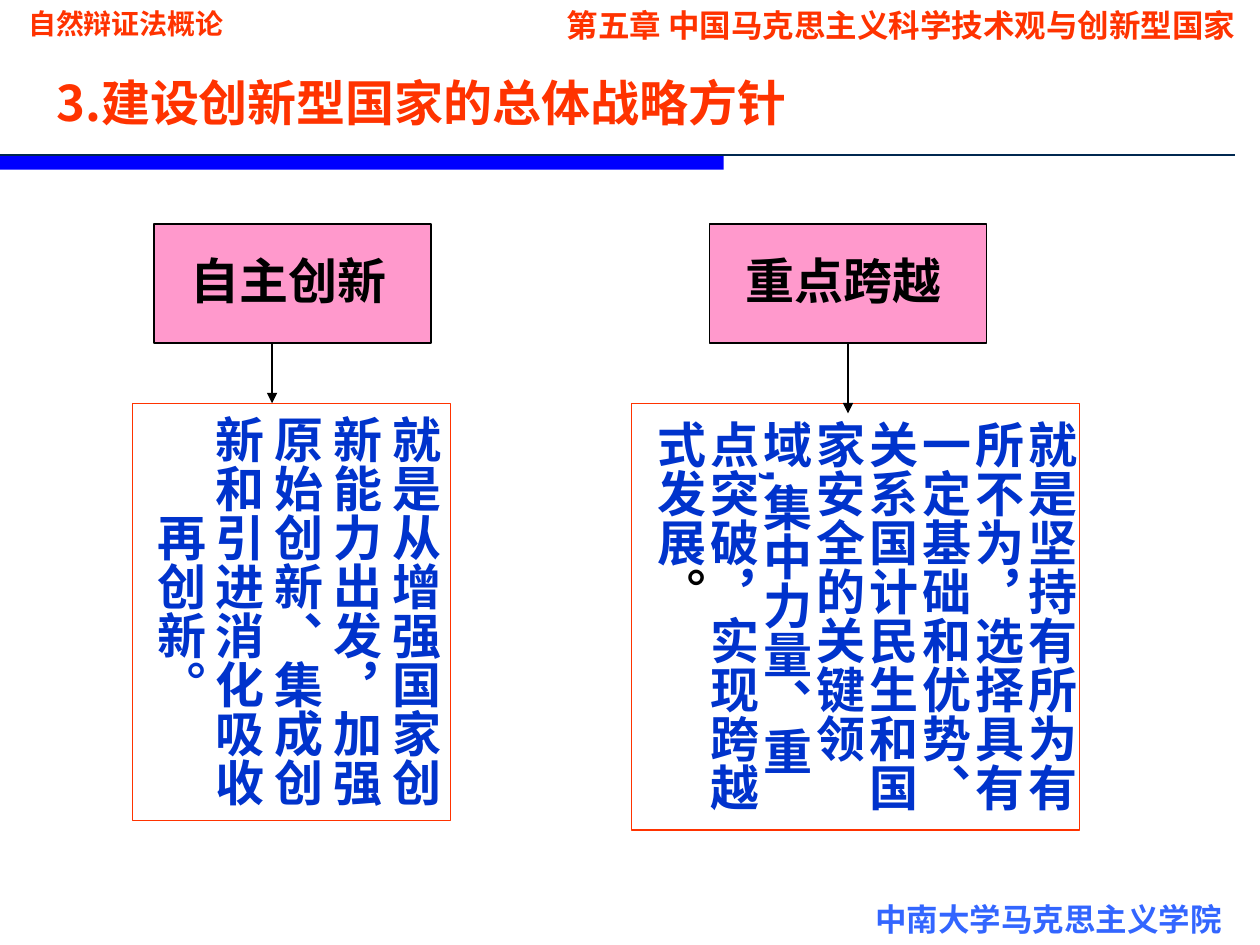
from lxml.etree import SubElement
from pptx import Presentation
from pptx.dml.color import RGBColor
from pptx.enum.shapes import MSO_CONNECTOR, MSO_SHAPE
from pptx.enum.text import MSO_ANCHOR, PP_ALIGN
from pptx.oxml.ns import qn
from pptx.util import Pt

COLORS = {
    "red": "FF3300", "footer": "3366FF", "bar": "0000FF", "rule": "002850",
    "pink": "FF99CC", "body": "0033CC", "black": "000000",
}


def rgb(name):
    return RGBColor.from_string(COLORS[name])


def set_text(tf, text, size, color, font="Arial", align=PP_ALIGN.LEFT):
    tf.word_wrap = True
    tf.text = text
    p = tf.paragraphs[0]
    p.alignment = align
    p.font.name = font
    p.font.size = Pt(size)
    p.font.bold = True
    p.font.color.rgb = rgb(color)
    return p


def add_label(s, box, text, size, color, align=PP_ALIGN.LEFT):
    sp = s.shapes.add_textbox(*map(Pt, box))
    set_text(sp.text_frame, text, size, color, align=align)


def add_rect(s, box, fill=None, line=None):
    sp = s.shapes.add_shape(MSO_SHAPE.RECTANGLE, *map(Pt, box))
    sp.shadow.inherit = False
    if fill:
        sp.fill.solid()
        sp.fill.fore_color.rgb = rgb(fill)
    else:
        sp.fill.background()
    if line:
        sp.line.color.rgb = rgb(line)
        sp.line.width = Pt(0.75)
    else:
        sp.line.fill.background()
    return sp


def add_line(s, x1, y1, x2, y2, color, arrow=False):
    cxn = s.shapes.add_connector(MSO_CONNECTOR.STRAIGHT, *map(Pt, (x1, y1, x2, y2)))
    cxn.line.color.rgb = rgb(color)
    cxn.line.width = Pt(0.75)
    if arrow:
        SubElement(cxn.line._get_or_add_ln(), qn("a:tailEnd"), type="triangle")
    SubElement(cxn._element.spPr, qn("a:effectLst"))
    return cxn


def add_title(s, box, text):
    sp = s.shapes.title
    sp.left, sp.top, sp.width, sp.height = map(Pt, box)
    set_text(sp.text_frame, text, 28, "red", font="Noto Sans CJK SC")
    sp.text_frame.vertical_anchor = MSO_ANCHOR.MIDDLE


def add_divider(s, box, bar_width):
    """A thin rule across the box with a thick bar hanging from its left part."""
    x, y, w, h = box
    add_rect(s, (x, y, bar_width, h), fill="bar")
    add_line(s, x, y, x + w, y, "rule")


def add_heading(s, box, text):
    sp = add_rect(s, box, fill="pink", line="black")
    tf = sp.text_frame
    tf.vertical_anchor = MSO_ANCHOR.MIDDLE
    tf.margin_right = Pt(12)
    tf.margin_bottom = Pt(8.2)
    set_text(tf, text, 28, "black", align=PP_ALIGN.CENTER)
    return sp


def add_vertical_text(s, box, text, align, spacing, top):
    """Text in columns from right to left, with punctuation kept inside the box."""
    tf = add_rect(s, box, line="red").text_frame
    tf._txBody.bodyPr.set("vert", "eaVert")
    tf.vertical_anchor = MSO_ANCHOR.TOP
    tf.margin_left = tf.margin_right = Pt(3.6)
    tf.margin_top, tf.margin_bottom = Pt(top), Pt(7.2)
    p = set_text(tf, text, 28, "body", align=align)
    p.line_spacing = spacing
    p._p.get_or_add_pPr().set("hangingPunct", "0")
    return p


def add_strategy(s, heading_box, body_box, heading, text, arrow_x, arrow_end,
                 align=PP_ALIGN.LEFT, spacing=1.0, top=7.2):
    """A heading with an arrow down to its vertical explanation."""
    x, y, w, h = heading_box
    head = add_heading(s, heading_box, heading)
    p = add_vertical_text(s, body_box, text, align, spacing, top)
    cxn = add_line(s, arrow_x, y + h, arrow_x, arrow_end, "black", arrow=True)
    if arrow_x == x + w / 2:
        cxn.begin_connect(head, 2)
    return p


def main():
    prs = Presentation()
    prs.slide_width, prs.slide_height = Pt(720), Pt(540)
    s = prs.slides.add_slide(prs.slide_layouts[5])

    add_label(s, (9, 0, 272, 27), "自然辩证法概论", 16, "red")
    add_label(s, (287, 0, 426, 29), "第五章 中国马克思主义科学技术观与创新型国家",
              18, "red", PP_ALIGN.RIGHT)
    add_label(s, (493, 511, 227, 29), "中南大学马克思主义学院", 18, "footer")
    add_title(s, (25, 38, 521, 41), "3.建设创新型国家的总体战略方针")
    add_divider(s, (0, 88.5, 705.6, 8.5), 413.5)

    add_strategy(
        s, (88, 128, 158.4, 68), (75.6, 230.4, 182, 238.3), "自主创新",
        "就是从增强国家创新能力出发，加强原始创新、集成创新和引进消化吸收再创新。",
        arrow_x=155.5, arrow_end=230.4, align=PP_ALIGN.CENTER)
    p = add_strategy(
        s, (405.4, 128, 158.4, 68), (360.8, 230.4, 256.3, 244), "重点跨越",
        "就是坚持有所为有所不为，选择具有一定基础和优势、关系国计民生和国家安全的"
        "关键领域,集中力量、重点突破，实现跨越式发展",
        arrow_x=484.6, arrow_end=236.2, spacing=0.9, top=10)
    r = p.add_run()
    r.text = "。"
    r.font.color.rgb = rgb("black")

    prs.save("out.pptx")


if __name__ == "__main__":
    main()
